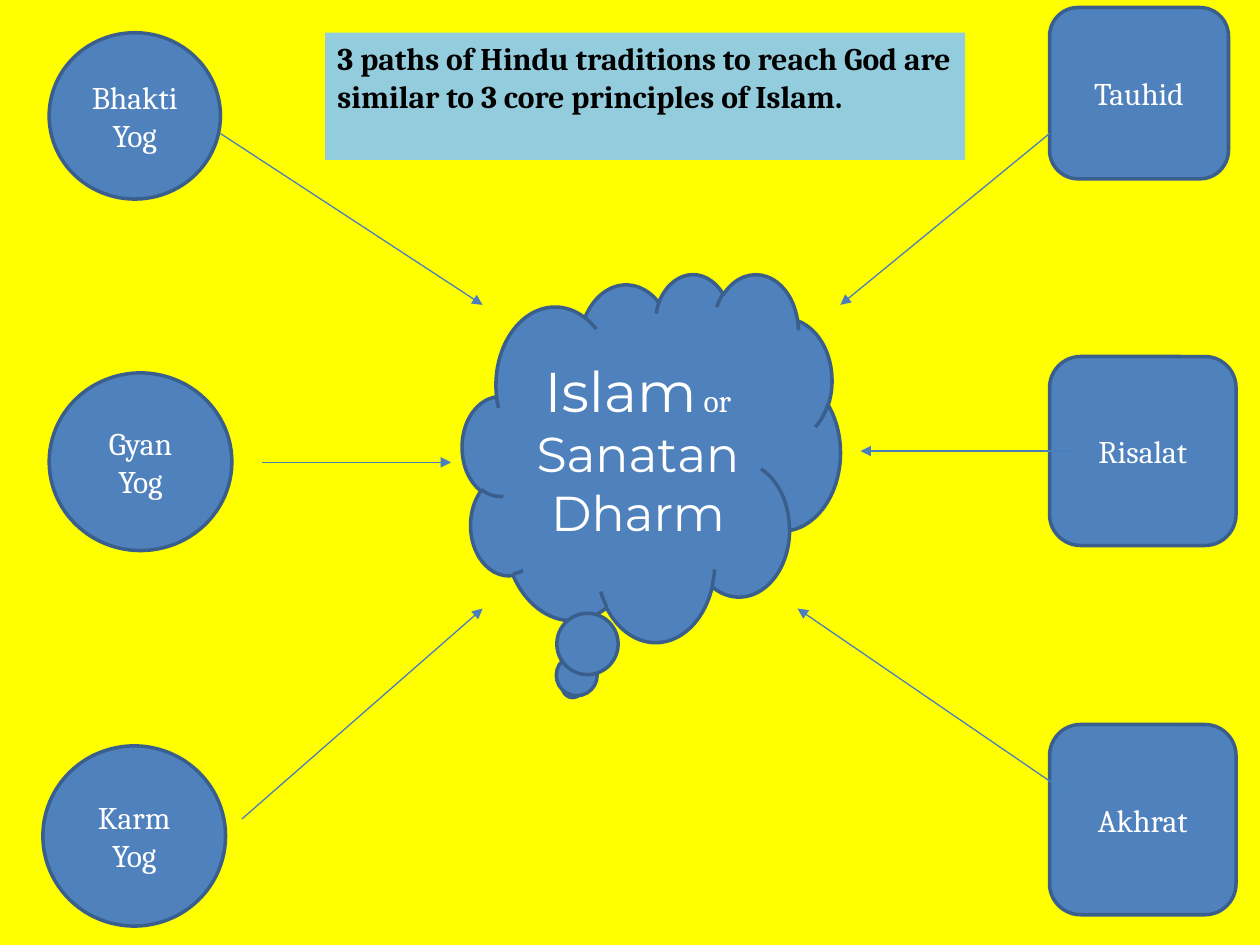
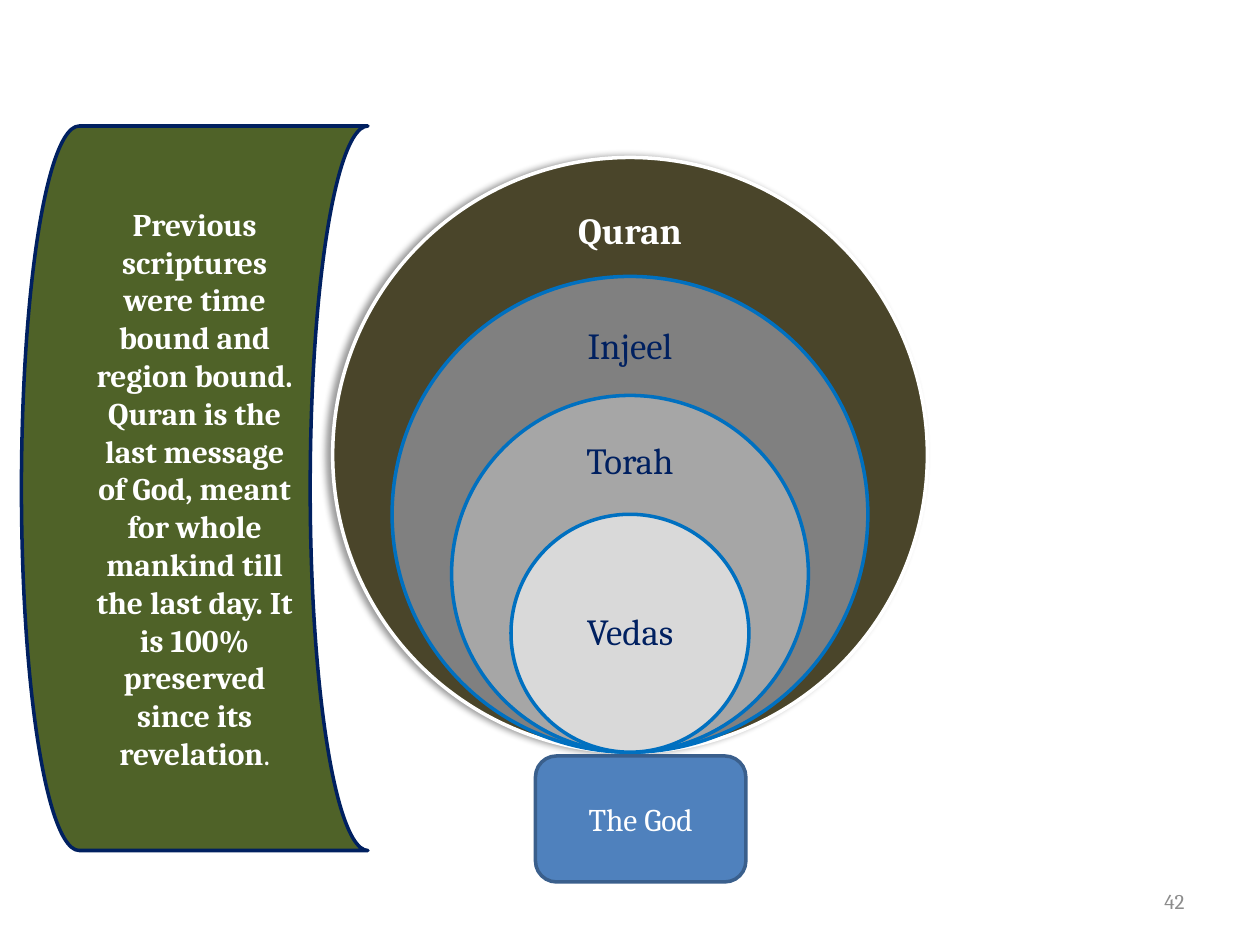
from lxml.etree import SubElement
from pptx import Presentation
from pptx.dml.color import RGBColor
from pptx.enum.shapes import MSO_CONNECTOR, MSO_SHAPE
from pptx.enum.text import MSO_ANCHOR, PP_ALIGN
from pptx.oxml.ns import qn
from pptx.util import Inches, Pt

COLORS = {
    "yellow": "FFFF00", "white": "FFFFFF", "black": "000000", "blue": "4F81BD",
    "outline": "3A5F8C", "arrow": "4B7EBC", "sky": "93CDDD", "navy": "002060",
    "ring": "0070C0", "olive": "4A452A", "gray": "808080", "silver": "A6A6A6",
    "pale": "D9D9D9", "green": "4F6228", "muted": "8C8C8C",
}
BODY, DISPLAY = "Cambria", "Montserrat"
BLANK_LAYOUT = 6

# Slide 1: paths and principles around the cloud, as (words, box)
HEADLINE = ("3 paths of Hindu traditions to reach God are "
            "similar to 3 core principles of Islam.")
HEADLINE_BOX = (2.58, 0.26, 5.08, 1.01)
PATHS = [
    ("Bhakti Yog", (0.39, 0.26, 1.36, 1.32)),
    ("Gyan Yog", (0.39, 2.96, 1.45, 1.41)),
    ("Karm Yog", (0.34, 5.92, 1.45, 1.43)),
]
PRINCIPLES = [
    ("Tauhid", (8.33, 0.06, 1.42, 1.36)),
    ("Risalat", (8.33, 2.83, 1.48, 1.5)),
    ("Akhrat", (8.33, 5.75, 1.48, 1.51)),
]
GOAL = [
    ("Islam", {"size": 32, "font": DISPLAY}),
    (" or ", {}),
    ("Sanatan Dharm", {"size": 28, "font": DISPLAY}),
]
GOAL_BOX = (3.67, 2.17, 3, 2.92)
ARROWS = [  # start, end
    ((1.75, 1.06), (3.83, 2.42)),
    ((2.08, 3.67), (3.58, 3.67)),
    ((1.92, 6.5), (3.83, 4.83)),
    ((8.33, 1.06), (6.67, 2.42)),
    ((8.5, 3.58), (6.83, 3.58)),
    ((8.42, 6.26), (6.33, 4.83)),
]

# Slide 2: nested scriptures, outermost first
SCRIPTURES = [  # words, fill, line, text colour, label top, label height
    ("Quran", "olive", "white", "white", 1.49, 0.71),
    ("Injeel", "gray", "ring", "navy", 2.42, 0.68),
    ("Torah", "silver", "ring", "navy", 3.35, 0.64),
    ("Vedas", "pale", "ring", "navy", 4.56, 0.94),
]
RING_CENTER, RING_BOTTOM, RING_DIAMETER = 5, 5.97, 4.72
RING_STEP = 0.2  # share of the outer diameter lost per ring
LABEL_WIDTH, LABEL_INSET = 1.32, 0.16
SOURCE_BOX = (4.25, 6, 1.67, 1)
MESSAGE = [
    ("Previous scriptures were time bound and region bound. Quran is the last "
     "message of God, meant for whole mankind till the last day. It is 100% "
     "preserved since its revelation", {"bold": True}),
    (".", {}),
]
MESSAGE_BOX = (0.17, 1, 2.75, 5.75)
PAGE_NUMBER, PAGE_NUMBER_BOX = "42", (7.17, 6.95, 2.33, 0.4)


def color(name):
    return RGBColor.from_string(COLORS[name])


def write(shape, runs, size=18, ink="white", bold=False,
          align=PP_ALIGN.CENTER, anchor=MSO_ANCHOR.MIDDLE):
    """Fill a shape with one paragraph of (words, style) runs."""
    frame = shape.text_frame
    frame.word_wrap = True
    frame.vertical_anchor = anchor
    paragraph = frame.paragraphs[0]
    paragraph.alignment = align
    for words, style in [(runs, {})] if isinstance(runs, str) else runs:
        run = paragraph.add_run()
        run.text = words
        run.font.name = style.get("font", BODY)
        run.font.size = Pt(style.get("size", size))
        run.font.bold = style.get("bold", bold)
        run.font.color.rgb = color(ink)
    return paragraph


def add_block(slide, kind, box, fill="blue", line="outline"):
    block = slide.shapes.add_shape(kind, *map(Inches, box))
    block.shadow.inherit = False
    block.fill.solid()
    block.fill.fore_color.rgb = color(fill)
    if line:
        block.line.color.rgb = color(line)
        block.line.width = Pt(2)
    else:
        block.line.fill.background()
    return block


def add_label(slide, box):
    return slide.shapes.add_textbox(*map(Inches, box))


def add_arrow(slide, start, end):
    arrow = slide.shapes.add_connector(MSO_CONNECTOR.STRAIGHT, *map(Inches, start + end))
    arrow.line.color.rgb = color("arrow")
    arrow.line.width = Pt(0.75)
    SubElement(arrow.line._get_or_add_ln(), qn("a:tailEnd"), type="triangle")
    SubElement(arrow._element.spPr, qn("a:effectLst"))


def add_left_shadow(shape):
    effects = shape._element.spPr.find(qn("a:effectLst"))
    shadow = SubElement(effects, qn("a:outerShdw"), blurRad=str(Pt(4)), dist=str(Pt(3)),
                        dir="10800000", rotWithShape="0")
    shade = SubElement(shadow, qn("a:srgbClr"), val=COLORS["black"])
    SubElement(shade, qn("a:alpha"), val="40000")


def add_slide(deck, background):
    slide = deck.slides.add_slide(deck.slide_layouts[BLANK_LAYOUT])
    slide.background.fill.solid()
    slide.background.fill.fore_color.rgb = color(background)
    return slide


def build_paths(deck):
    slide = add_slide(deck, "yellow")
    for kind, items in ((MSO_SHAPE.OVAL, PATHS), (MSO_SHAPE.ROUNDED_RECTANGLE, PRINCIPLES)):
        for words, box in items:
            write(add_block(slide, kind, box), words)
    write(add_block(slide, MSO_SHAPE.CLOUD_CALLOUT, GOAL_BOX), GOAL)
    for start, end in ARROWS:
        add_arrow(slide, start, end)
    headline = add_block(slide, MSO_SHAPE.RECTANGLE, HEADLINE_BOX, "sky", None)
    write(headline, HEADLINE, ink="black", bold=True,
          align=PP_ALIGN.LEFT, anchor=MSO_ANCHOR.TOP)


def build_scriptures(deck):
    slide = add_slide(deck, "white")

    # Rings share their lowest point
    for i, (words, fill, line, ink, label_top, label_height) in enumerate(SCRIPTURES):
        diameter = RING_DIAMETER * (1 - RING_STEP * i)
        box = (RING_CENTER - diameter / 2, RING_BOTTOM - diameter, diameter, diameter)
        ring = add_block(slide, MSO_SHAPE.OVAL, box, fill, line)
        if i == 0:
            add_left_shadow(ring)
        label = add_label(slide, (RING_CENTER - LABEL_WIDTH / 2, label_top,
                                  LABEL_WIDTH, label_height))
        frame = label.text_frame
        frame.margin_left = frame.margin_right = Inches(LABEL_INSET)
        frame.margin_top = frame.margin_bottom = Inches(LABEL_INSET)
        write(label, words, size=21, ink=ink, bold=i == 0).line_spacing = 0.9

    # Source below the rings, message at the left, page number
    write(add_block(slide, MSO_SHAPE.ROUNDED_RECTANGLE, SOURCE_BOX), "The God")
    message = add_block(slide, MSO_SHAPE.FLOWCHART_STORED_DATA, MESSAGE_BOX, "green", "navy")
    write(message, MESSAGE)
    write(add_label(slide, PAGE_NUMBER_BOX), PAGE_NUMBER, size=12, ink="muted",
          align=PP_ALIGN.RIGHT)


def main():
    deck = Presentation()
    deck.slide_width, deck.slide_height = Inches(10), Inches(7.5)
    build_paths(deck)
    build_scriptures(deck)
    deck.save("out.pptx")


if __name__ == "__main__":
    main()
